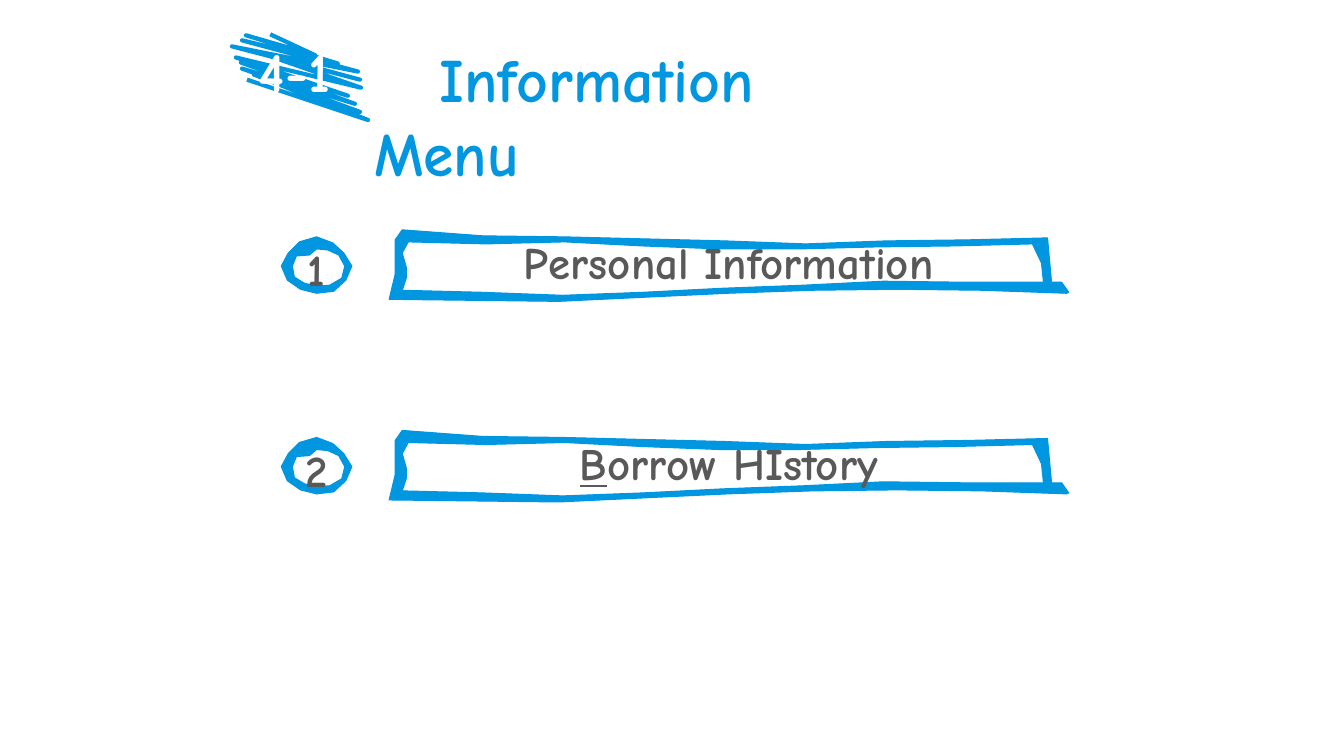
from math import cos, radians, sin

from pptx import Presentation
from pptx.dml.color import RGBColor
from pptx.enum.text import MSO_ANCHOR as ANCHOR, MSO_AUTO_SIZE as AUTO, PP_ALIGN as ALIGN
from pptx.util import Inches, Pt

COLORS = {"blue": "0096E0", "gray": "595959", "white": "FFFFFF"}
FONT = "Comic Neue"
UNIT = Inches(0.01)
ROW_GAP = Inches(1.99)
ROWS = [("1", ["Personal Information"]), ("2", ["B", "orrow HIstory"])]

OUTER_TOP = (228, 234, 235, 237, 239, 242, 239, 238, 236)
OUTER_BOTTOM = (297, 298, 299, 295, 291, 288, 287, 288, 291)
INNER_TOP = (240, 242, 240, 244, 247, 247, 245, 244, 242)
INNER_BOTTOM = (288, 290, 293, 290, 286, 283, 279, 280, 280)

RING_CENTER = (314, 264)
RING_RADII = (35, 29)
RING_OUTER = (1, 0.97, 0.99, 0.93, 0.91, 0.95, 1, 0.92, 0.96, 1, 0.93, 0.88)
RING_INNER = (0.8, 0.84, 0.77, 0.69, 0.67, 0.74, 0.69, 0.66, 0.42, 0.59, 0.62, 0.73)

SCRIBBLE_START = (268, 34)
SCRIBBLE_RIGHT = (313, 335, 355, 357, 358, 345, 352, 357, 365)
SCRIBBLE_LEFT = (244, 240, 230, 257, 234, 239, 240, 252, 245)


def color(name):
    return RGBColor.from_string(COLORS[name])


def style_run(r, size, name):
    r.font.name = FONT
    r.font.size = Pt(size)
    r.font.bold = True
    r.font.color.rgb = color(name)


def wavy_edge(left, right, heights):
    step = (right - left) / (len(heights) - 1)
    return [(left + i * step, y) for i, y in enumerate(heights)]


def frame_contours():
    right_tip = [(1060, 290), (1053, 280), (1043, 280)]
    outer = wavy_edge(399, 1039, OUTER_TOP) + right_tip[::-1]
    outer += wavy_edge(386, 1058, OUTER_BOTTOM)[::-1]
    outer += [(392, 272), (392, 238)]
    inner = wavy_edge(405, 1024, INNER_TOP) + [(1033, 261)]
    inner += wavy_edge(399, 1035, INNER_BOTTOM)[::-1]
    inner += [(403, 276), (403, 265), (399, 251)]
    return [inner, outer]


def wobbly_ring(factors):
    (cx, cy), (rx, ry) = RING_CENTER, RING_RADII
    step = radians(360 / len(factors))
    return [(cx + rx * f * cos(i * step), cy + ry * f * sin(i * step))
            for i, f in enumerate(factors)]


def scribble_points():
    points = [SCRIBBLE_START]
    for i, (right, left) in enumerate(zip(SCRIBBLE_RIGHT, SCRIBBLE_LEFT)):
        points += [(right, 55 + 8 * i), (left, 35 + 5.5 * i)]
    return points


def add_outline(slide, contours, top=0, close=True, width=0):
    first, *others = contours
    builder = slide.shapes.build_freeform(*first[0], scale=UNIT)
    builder.add_line_segments(first[1:], close=close)
    for contour in others:
        builder.move_to(*contour[0])
        builder.add_line_segments(contour[1:], close=close)
    sp = builder.convert_to_shape(0, top)
    sp.shadow.inherit = False
    sp.line.color.rgb = color("blue")
    sp.line.width = Pt(width)
    if close:
        sp.fill.solid()
        sp.fill.fore_color.rgb = color("blue")
    else:
        sp.fill.background()
    return sp


def add_label(sp, parts):
    tf = sp.text_frame
    tf.word_wrap = True
    tf.vertical_anchor = ANCHOR.TOP
    p = tf.paragraphs[0]
    p.alignment = ALIGN.CENTER
    for part in parts:
        r = p.add_run()
        r.text = part
        style_run(r, 32, "gray")
    if len(parts) > 1:
        p.runs[0].font.underline = True


def add_badge(slide):
    add_outline(slide, [scribble_points()], close=False, width=3)
    box = slide.shapes.add_textbox(Inches(2.47), Inches(0.31), Inches(1.02), Inches(0.77))
    tf = box.text_frame
    tf.word_wrap = False
    tf.text = "4-1"
    style_run(tf.paragraphs[0].runs[0], 40, "white")


def set_title(slide):
    title = slide.shapes.title
    title.left, title.top = Inches(3.61), Inches(0.36)
    title.width, title.height = Inches(5.73), Inches(0.84)
    tf = title.text_frame
    tf.text = "Information Menu"
    tf.word_wrap = True
    tf.auto_size = AUTO.NONE
    tf.vertical_anchor = ANCHOR.TOP
    tf.margin_right = Inches(1)
    p = tf.paragraphs[0]
    p.alignment = ALIGN.LEFT
    pPr = p._p.get_or_add_pPr()
    pPr.set("marL", "0")
    pPr.set("indent", str(Inches(0.65)))
    style_run(p.runs[0], 44, "blue")


def add_menu_row(slide, top, number, parts):
    add_label(add_outline(slide, frame_contours(), top), parts)
    rings = [wobbly_ring(RING_INNER), wobbly_ring(RING_OUTER)]
    add_label(add_outline(slide, rings, top), [number])


def main():
    prs = Presentation()
    prs.slide_width, prs.slide_height = Inches(13.33), Inches(7.5)
    slide = prs.slides.add_slide(prs.slide_layouts[5])
    set_title(slide)
    add_badge(slide)
    for i, (number, parts) in enumerate(ROWS):
        add_menu_row(slide, i * ROW_GAP, number, parts)
    prs.save("out.pptx")


if __name__ == "__main__":
    main()
